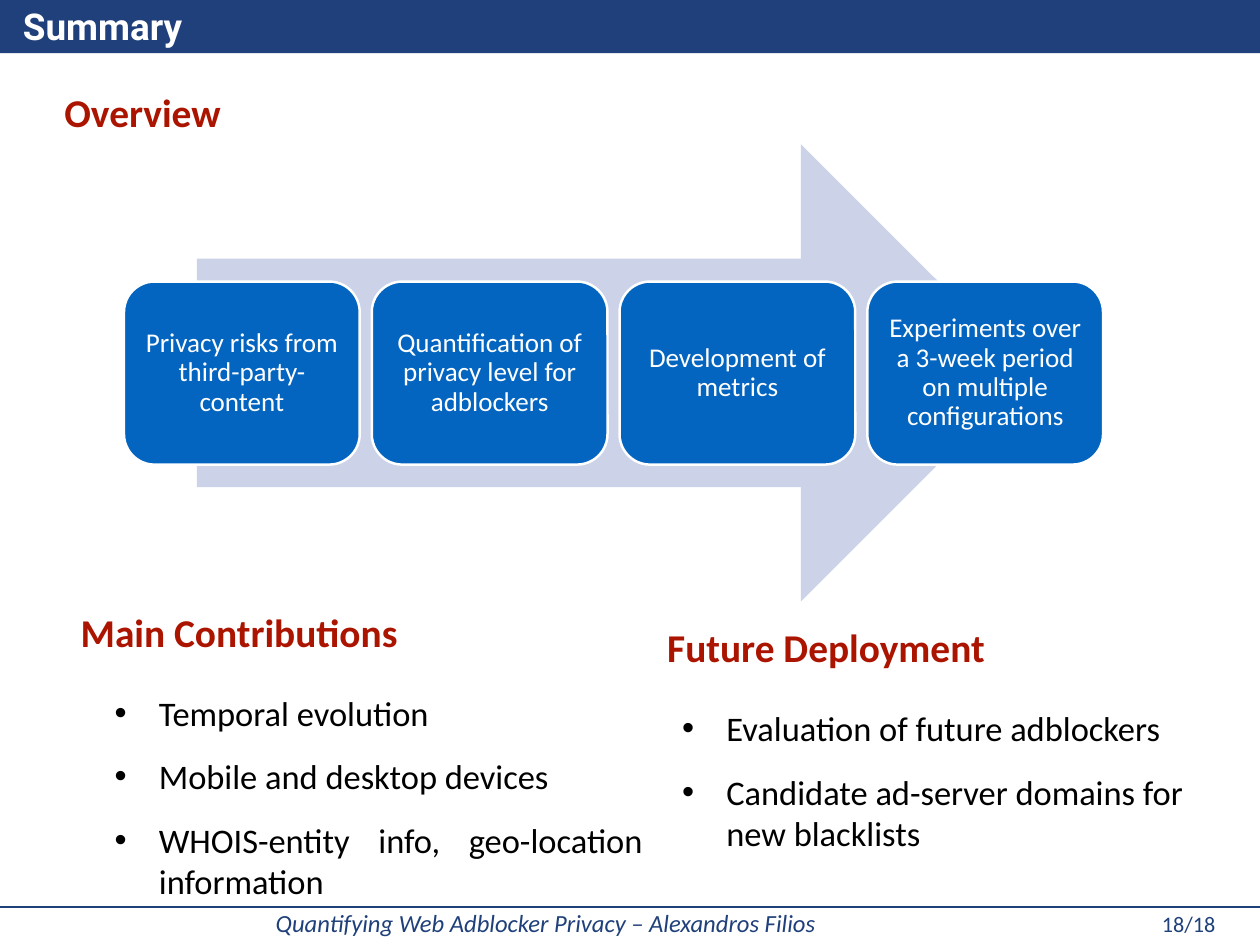
from dataclasses import dataclass

from lxml.etree import SubElement
from pptx import Presentation
from pptx.dml.color import RGBColor
from pptx.enum.shapes import MSO_CONNECTOR, MSO_SHAPE
from pptx.enum.text import MSO_ANCHOR, PP_ALIGN
from pptx.oxml.ns import qn
from pptx.util import Inches, Pt


@dataclass(frozen=True)
class Style:
    size: int
    color: str
    font: str = "Calibri"
    bold: bool = False
    italic: bool = False


@dataclass(frozen=True)
class Theme:
    navy: str = "1F407A"
    card: str = "0365C0"
    arrow: str = "CCD3E8"
    white: str = "FFFFFF"
    title: Style = Style(30, "FFFFFF", font="Roboto", bold=True)
    heading: Style = Style(32, "AB1500", bold=True)
    bullet: Style = Style(28, "000000")
    step: Style = Style(22, "FFFFFF")
    footer: Style = Style(20, "1F407A", italic=True)
    page: Style = Style(18, "1F407A")


@dataclass(frozen=True)
class Area:
    """A place on the grid, in columns and rows."""
    left: float
    top: float
    width: float
    height: float


@dataclass(frozen=True)
class Label:
    area: Area
    text: str
    style: Style
    align: PP_ALIGN = PP_ALIGN.LEFT
    anchor: MSO_ANCHOR = MSO_ANCHOR.MIDDLE
    indent: float = 0
    wrap: bool = True


@dataclass(frozen=True)
class BulletList:
    area: Area
    items: tuple[str, ...]
    align: PP_ALIGN


THEME = Theme()
COLUMNS, ROWS = 128, 96
WIDTH, HEIGHT = Inches(14.22), Inches(10.67)
INSET, STEP_INSET = Inches(0.06), Inches(0.09)
HEADER = Area(-0.1, -0.2, 128.2, 5.6)
ARROW = Area(20, 14.65, 84.6, 46.45)
FIRST_STEP = Area(12.6, 28.6, 23.95, 18.6)
STEP_PITCH = 25.17
FOOTER_ROW = 92.15

STEPS = (
    "Privacy risks from third-party-content",
    "Quantification of privacy level for adblockers",
    "Development of metrics",
    "Experiments over a 3-week period on multiple configurations",
)

LABELS = (
    Label(Area(-0.1, -0.2, 109.3, 5.6), "Summary", THEME.title, indent=0.21),
    Label(Area(6, 8.45, 112.6, 5.85), "Overview", THEME.heading),
    Label(Area(7.65, 61.3, 56, 5.85), "Main Contributions", THEME.heading),
    Label(Area(67.25, 62.8, 56, 5.85), "Future Deployment", THEME.heading),
    Label(Area(-0.3, 91.5, 109.6, 4.5),
          "Quantifying Web Adblocker Privacy – Alexandros Filios",
          THEME.footer, PP_ALIGN.CENTER, indent=0.21),
    Label(Area(117.4, 91.9, 6.7, 3.8), "18/18", THEME.page,
          PP_ALIGN.CENTER, MSO_ANCHOR.TOP, wrap=False),
)

LISTS = (
    BulletList(Area(11.1, 69.75, 54.7, 20),
               ("Temporal evolution", "Mobile and desktop devices",
                "WHOIS-entity info, geo-location information"),
               PP_ALIGN.JUSTIFY),
    BulletList(Area(68.75, 71.3, 54.7, 20),
               ("Evaluation of future adblockers",
                "Candidate ad-server domains for new blacklists"),
               PP_ALIGN.LEFT),
)


def x(columns: float) -> int:
    return round(WIDTH * columns / COLUMNS)


def y(rows: float) -> int:
    return round(HEIGHT * rows / ROWS)


def bounds(area: Area) -> tuple[int, int, int, int]:
    return x(area.left), y(area.top), x(area.width), y(area.height)


def add_run(paragraph, text: str, style: Style) -> None:
    run = paragraph.add_run()
    run.text = text
    run.font.name = style.font
    run.font.size = Pt(style.size)
    run.font.bold = style.bold
    run.font.italic = style.italic
    run.font.color.rgb = RGBColor.from_string(style.color)


def set_frame(frame, anchor: MSO_ANCHOR, inset: int, wrap: bool = True) -> None:
    frame.word_wrap = wrap
    frame.vertical_anchor = anchor
    frame.margin_left = frame.margin_right = inset
    frame.margin_top = frame.margin_bottom = inset


def set_indent(paragraph, margin: float, first_line: float) -> None:
    properties = paragraph._p.get_or_add_pPr()
    properties.set("marL", str(Inches(margin)))
    properties.set("indent", str(Inches(first_line)))


def add_filled(slide, kind: MSO_SHAPE, area: Area, fill: str, outline: str = ""):
    filled = slide.shapes.add_shape(kind, *bounds(area))
    filled.shadow.inherit = False
    filled.fill.solid()
    filled.fill.fore_color.rgb = RGBColor.from_string(fill)
    if outline:
        filled.line.color.rgb = RGBColor.from_string(outline)
        filled.line.width = Pt(2)
    else:
        filled.line.fill.background()
    return filled


def add_label(slide, label: Label) -> None:
    frame = slide.shapes.add_textbox(*bounds(label.area)).text_frame
    set_frame(frame, label.anchor, INSET, label.wrap)
    paragraph = frame.paragraphs[0]
    paragraph.alignment = label.align
    set_indent(paragraph, 0, label.indent)
    add_run(paragraph, label.text, label.style)


def add_list(slide, bullets: BulletList) -> None:
    frame = slide.shapes.add_textbox(*bounds(bullets.area)).text_frame
    set_frame(frame, MSO_ANCHOR.TOP, INSET)
    for index, item in enumerate(bullets.items):
        paragraph = frame.add_paragraph() if index else frame.paragraphs[0]
        paragraph.alignment = bullets.align
        paragraph.space_before = Pt(18)
        set_indent(paragraph, 0.5, -0.5)
        properties = paragraph._p.get_or_add_pPr()
        SubElement(properties, qn("a:buFont")).set("typeface", "Arial")
        SubElement(properties, qn("a:buChar")).set("char", "•")
        add_run(paragraph, item, THEME.bullet)


def add_step(slide, index: int, text: str) -> None:
    area = Area(FIRST_STEP.left + index * STEP_PITCH, FIRST_STEP.top,
                FIRST_STEP.width, FIRST_STEP.height)
    step = add_filled(slide, MSO_SHAPE.ROUNDED_RECTANGLE, area, THEME.card, THEME.white)
    set_frame(step.text_frame, MSO_ANCHOR.MIDDLE, STEP_INSET)
    paragraph = step.text_frame.paragraphs[0]
    paragraph.alignment = PP_ALIGN.CENTER
    paragraph.line_spacing = 0.9
    add_run(paragraph, text, THEME.step)


def main() -> None:
    deck = Presentation()
    deck.slide_width, deck.slide_height = WIDTH, HEIGHT
    slide = deck.slides.add_slide(deck.slide_layouts[6])

    # Header bar and footer rule
    add_filled(slide, MSO_SHAPE.RECTANGLE, HEADER, THEME.navy)
    rule = slide.shapes.add_connector(
        MSO_CONNECTOR.STRAIGHT, 0, y(FOOTER_ROW), WIDTH, y(FOOTER_ROW))
    rule.line.color.rgb = RGBColor.from_string(THEME.navy)
    rule.line.width = Pt(1)
    SubElement(rule._element.spPr, qn("a:effectLst"))

    # Overview process
    add_filled(slide, MSO_SHAPE.RIGHT_ARROW, ARROW, THEME.arrow)
    for index, text in enumerate(STEPS):
        add_step(slide, index, text)

    # Headings, footer and lists
    for label in LABELS:
        add_label(slide, label)
    for bullets in LISTS:
        add_list(slide, bullets)

    deck.save("out.pptx")


if __name__ == "__main__":
    main()
